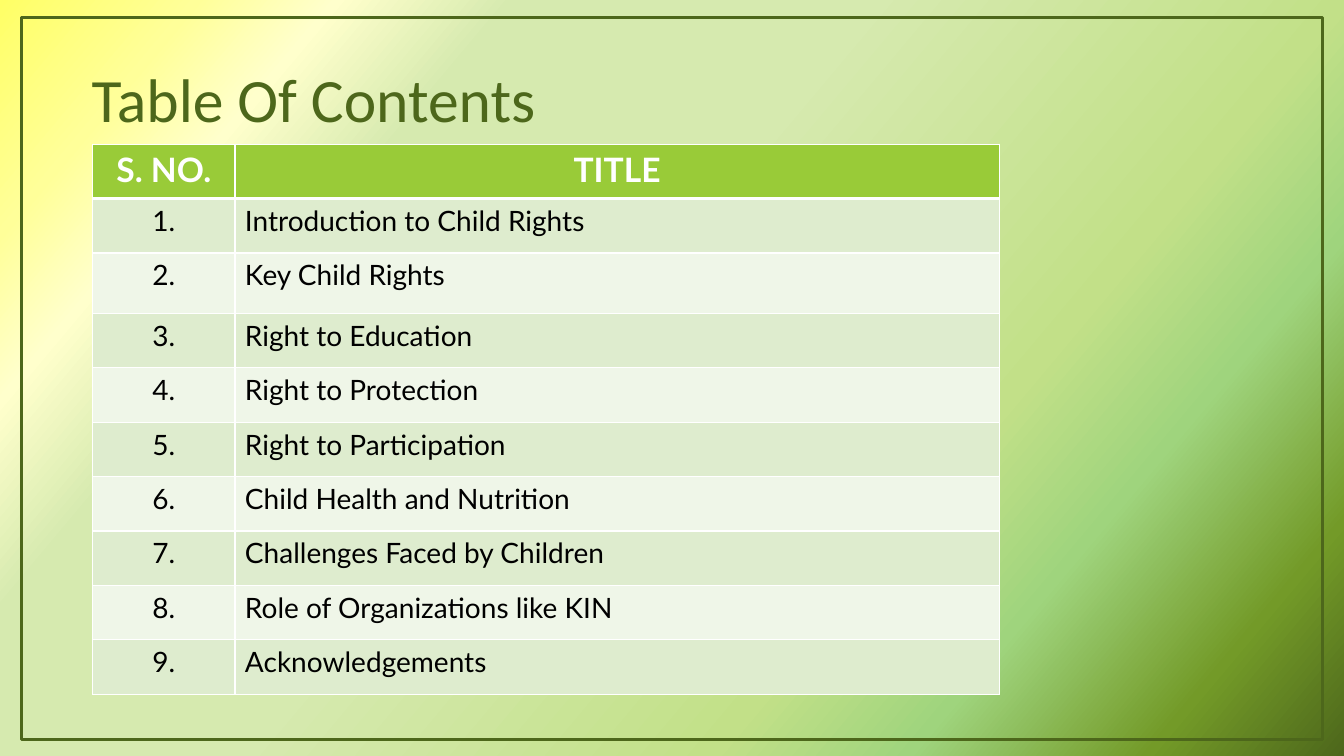
import pptx
import pptx.util
import pptx.dml.color
import pptx.enum.shapes
import pptx.enum.text
import pptx.oxml
import pptx.oxml.ns

Inches = pptx.util.Inches
Pt = pptx.util.Pt
ALIGN = pptx.enum.text.PP_ALIGN

COLORS = {
    "olive": "4D671B",
    "header": "99CB38",
    "odd": "DEECCE",
    "even": "EFF6E8",
    "white": "FFFFFF",
    "black": "000000",
}
BACKGROUND_STOPS = [
    (0, "4D671B"), (10, "739A28"), (22, "9FD47D"), (32, "C2E088"), (56, "D6EAAF"),
    (66, "D6EAAF"), (74, "D6EAAF"), (83, "FFFFCC"), (90, "FFFF99"), (100, "FFFF66"),
]
TITLES = [
    "Introduction to Child Rights",
    "Key Child Rights",
    "Right to Education",
    "Right to Protection",
    "Right to Participation",
    "Child Health and Nutrition",
    "Challenges Faced by Children",
    "Role of Organizations like KIN",
    "Acknowledgements",
]
COLUMN_WIDTHS = [1.41, 7.58]
ROW_HEIGHT = 0.54
TALL_ROW, TALL_HEIGHT = 2, 0.6


def add_run(para, text, font_name, size, color, bold=False):
    span = para.add_run()
    span.text = text
    span.font.name = font_name
    span.font.size = Pt(size)
    span.font.bold = bold
    span.font.color.rgb = pptx.dml.color.RGBColor.from_string(COLORS[color])


def set_borders(cell, widths):
    properties = cell._tc.get_or_add_tcPr()
    for position, (side, width) in enumerate(widths.items()):
        border = pptx.oxml.parse_xml(
            f'<a:{side} {pptx.oxml.ns.nsdecls("a")} w="{Pt(width)}"><a:solidFill>'
            f'<a:srgbClr val="{COLORS["white"]}"/></a:solidFill></a:{side}>'
        )
        properties.insert(position, border)


deck = pptx.Presentation()
deck.slide_width = Inches(13.33)
deck.slide_height = Inches(7.5)
page = deck.slides.add_slide(deck.slide_layouts[5])

backdrop = page.background.fill
backdrop.gradient()
backdrop.gradient_angle = 140
stop_list = page.background._cSld.find(".//" + pptx.oxml.ns.qn("a:gsLst"))
for stop in list(stop_list):
    stop_list.remove(stop)
for percent, color in BACKGROUND_STOPS:
    stop_list.append(pptx.oxml.parse_xml(
        f'<a:gs {pptx.oxml.ns.nsdecls("a")} pos="{percent * 1000}">'
        f'<a:srgbClr val="{color}"/></a:gs>'
    ))

title = page.shapes.title
title.left, title.top = Inches(0.81), Inches(0.28)
title.width, title.height = Inches(10.8), Inches(1.48)
title.text_frame.vertical_anchor = pptx.enum.text.MSO_ANCHOR.MIDDLE
title.text_frame.word_wrap = True
para = title.text_frame.paragraphs[0]
para.alignment = ALIGN.LEFT
para.line_spacing = 0.9
add_run(para, "Table Of Contents", "Calibri", 44, "olive")

rows = [("S. NO.", "TITLE")]
rows += [(f"{number}.", text) for number, text in enumerate(TITLES, 1)]
contents = page.shapes.add_table(
    len(rows), len(COLUMN_WIDTHS), Inches(0.92), Inches(1.43),
    Inches(sum(COLUMN_WIDTHS)), Inches(ROW_HEIGHT * len(rows)),
).table
for column, width in zip(contents.columns, COLUMN_WIDTHS):
    column.width = Inches(width)

for row_index, texts in enumerate(rows):
    is_header = row_index == 0
    fill_color = "header" if is_header else "odd" if row_index % 2 else "even"
    contents.rows[row_index].height = Inches(TALL_HEIGHT if row_index == TALL_ROW else ROW_HEIGHT)
    for column_index, text in enumerate(texts):
        cell = contents.cell(row_index, column_index)
        cell.fill.solid()
        cell.fill.fore_color.rgb = pptx.dml.color.RGBColor.from_string(COLORS[fill_color])
        set_borders(cell, {
            "lnL": 1, "lnR": 1,
            "lnT": 3 if row_index == 1 else 1,
            "lnB": 3 if is_header else 1,
        })
        para = cell.text_frame.paragraphs[0]
        para.alignment = ALIGN.CENTER if is_header or column_index == 0 else ALIGN.LEFT
        if is_header:
            add_run(para, text, "Lato", 24, "white", bold=True)
        else:
            add_run(para, text, "Lato", 20, "black")

frame = page.shapes.add_shape(
    pptx.enum.shapes.MSO_SHAPE.RECTANGLE,
    Inches(0.21), Inches(0.17), Inches(12.91), Inches(7.17),
)
frame.shadow.inherit = False
frame.fill.background()
frame.line.color.rgb = pptx.dml.color.RGBColor.from_string(COLORS["olive"])
frame.line.width = Pt(2.25)

deck.save("out.pptx")
